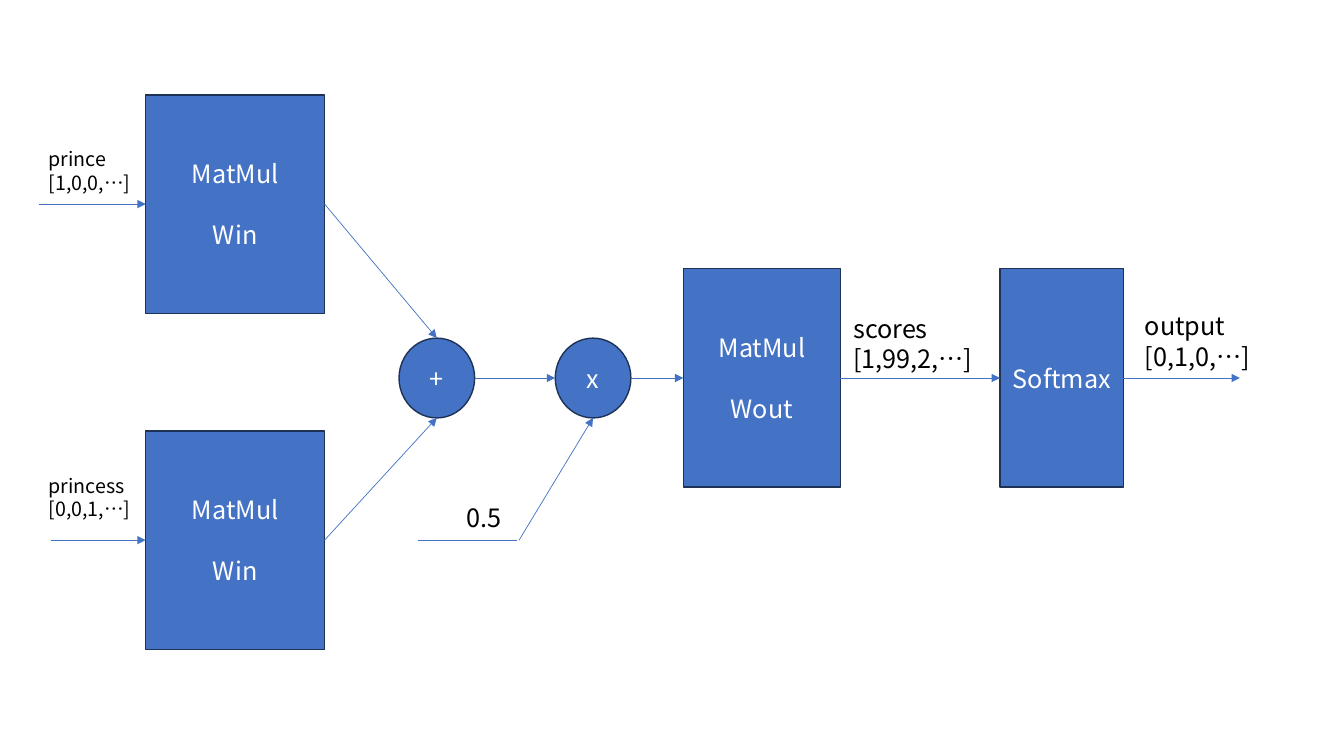
from dataclasses import dataclass
from typing import NamedTuple

from lxml import etree
from pptx import Presentation
from pptx.dml.color import RGBColor
from pptx.enum.shapes import MSO_CONNECTOR, MSO_SHAPE
from pptx.enum.text import MSO_ANCHOR, MSO_AUTO_SIZE, PP_ALIGN
from pptx.oxml.ns import qn
from pptx.util import Inches, Pt

RECTANGLE, ELLIPSE = MSO_SHAPE.RECTANGLE, MSO_SHAPE.OVAL
STRAIGHT = MSO_CONNECTOR.STRAIGHT
MIDDLE, CENTER, LEFT_ALIGN = MSO_ANCHOR.MIDDLE, PP_ALIGN.CENTER, PP_ALIGN.LEFT
GROW = MSO_AUTO_SIZE.SHAPE_TO_FIT_TEXT
TOP, LEFT, BOTTOM, RIGHT = range(4)

SLIDE_WIDTH, SLIDE_HEIGHT = Inches(13.33), Inches(7.5)
COLUMN, ROW = SLIDE_WIDTH / 160, SLIDE_HEIGHT / 90
FONT = "Noto Sans CJK JP"
BLUE, NAVY, WHITE, BLACK = "4472C4", "1E3256", "FFFFFF", "000000"

PRINCE_ROW, MAIN_ROW, PRINCESS_ROW = 24.3, 45, 64.3
BOX_ROWS = 26
CIRCLE_COLUMNS, CIRCLE_ROWS = 9, 9.5


class Point(NamedTuple):
    column: float
    row: float


@dataclass(frozen=True)
class Node:
    """One operation, placed by its centre."""
    lines: tuple[str, ...]
    column: float
    row: float
    columns: float
    rows: float = BOX_ROWS
    outline: int = RECTANGLE

    def side(self, side: int) -> Point:
        across = {LEFT: -0.5, RIGHT: 0.5}.get(side, 0)
        down = {TOP: -0.5, BOTTOM: 0.5}.get(side, 0)
        return Point(self.column + across * self.columns, self.row + down * self.rows)


class Port(NamedTuple):
    node: Node
    side: int


@dataclass(frozen=True)
class Flow:
    start: Point | Port
    end: Point | Port
    arrow: bool = True


@dataclass(frozen=True)
class Label:
    lines: tuple[str, ...]
    column: float
    row: float
    columns: float
    rows: float
    size: int = 18
    wrap: bool = False


def circle(sign: str, column: float) -> Node:
    return Node((sign,), column, MAIN_ROW, CIRCLE_COLUMNS, CIRCLE_ROWS, ELLIPSE)


PRINCE_IN = Node(("MatMul", "Win"), 28, PRINCE_ROW, 21.3)
PRINCESS_IN = Node(("MatMul", "Win"), 28, PRINCESS_ROW, 21.3)
PLUS, TIMES = circle("+", 52), circle("x", 70.6)
MATMUL_OUT = Node(("MatMul", "Wout"), 90.7, MAIN_ROW, 18.7)
SOFTMAX = Node(("Softmax",), 126.4, MAIN_ROW, 14.7)
NODES = (PRINCE_IN, PRINCESS_IN, PLUS, TIMES, MATMUL_OUT, SOFTMAX)

FLOWS = (
    Flow(Port(PRINCE_IN, RIGHT), Port(PLUS, TOP)),
    Flow(Port(PRINCESS_IN, RIGHT), Port(PLUS, BOTTOM)),
    Flow(Point(49.8, PRINCESS_ROW), Point(61.6, PRINCESS_ROW), arrow=False),
    Flow(Point(61.8, PRINCESS_ROW), Port(TIMES, BOTTOM)),
    Flow(Port(PLUS, RIGHT), Port(TIMES, LEFT)),
    Flow(Port(TIMES, RIGHT), Port(MATMUL_OUT, LEFT)),
    Flow(Port(MATMUL_OUT, RIGHT), Port(SOFTMAX, LEFT)),
    Flow(Port(SOFTMAX, RIGHT), Point(147.6, MAIN_ROW)),
    Flow(Point(4.6, PRINCE_ROW), Port(PRINCE_IN, LEFT)),
    Flow(Point(6.1, PRINCESS_ROW), Port(PRINCESS_IN, LEFT)),
)

LABELS = (
    Label(("prince", "[1,0,0,…]"), 4.6, 16.9, 12.4, 6.8, size=14),
    Label(("princess", "[0,0,1,…]"), 4.6, 55.8, 12.4, 6.8, size=14),
    Label(("0.5",), 54.4, 59.2, 6.6, 4.8),
    Label(("scores", "[1,99,2,…]"), 100.4, 36.7, 18.6, 8.5, wrap=True),
    Label(("output", "[0,1,0,…]"), 135.1, 36.4, 19, 8.5, wrap=True),
)


def color(value: str) -> RGBColor:
    return RGBColor.from_string(value)


def across(columns: float) -> int:
    return round(columns * COLUMN)


def down(rows: float) -> int:
    return round(rows * ROW)


def write_lines(frame, lines: tuple[str, ...], size: int, ink: str,
                align: int, gap: float = 0) -> None:
    for index, line in enumerate(lines):
        paragraph = frame.add_paragraph() if index else frame.paragraphs[0]
        paragraph.alignment = align
        paragraph.space_before = Pt(gap if index else 0)
        run = paragraph.add_run()
        run.text = line
        run.font.size = Pt(size)
        run.font.color.rgb = color(ink)
        run.font.name = FONT
        etree.SubElement(run.font._element, qn("a:ea"), typeface=FONT)


def draw_node(shapes, node: Node):
    left, top = node.side(LEFT).column, node.side(TOP).row
    shape = shapes.add_shape(node.outline, across(left), down(top),
                             across(node.columns), down(node.rows))
    shape.shadow.inherit = False
    shape.fill.solid()
    shape.fill.fore_color.rgb = color(BLUE)
    shape.line.color.rgb = color(NAVY)
    shape.line.width = Pt(1)
    shape.text_frame.vertical_anchor = MIDDLE
    write_lines(shape.text_frame, node.lines, 18, WHITE, CENTER, gap=22)
    return shape


def draw_flow(shapes, flow: Flow, drawn: dict) -> None:
    """Draw a line and join its ends to the boxes it meets."""
    start, end = (stop.node.side(stop.side) if isinstance(stop, Port) else stop
                  for stop in (flow.start, flow.end))
    connector = shapes.add_connector(STRAIGHT, across(start.column), down(start.row),
                                     across(end.column), down(end.row))
    for stop, join in ((flow.start, connector.begin_connect),
                       (flow.end, connector.end_connect)):
        if isinstance(stop, Port) and stop.node.outline == RECTANGLE:
            join(drawn[stop.node], stop.side)
    connector.line.color.rgb = color(BLUE)
    connector.line.width = Pt(0.5)
    if flow.arrow:
        etree.SubElement(connector.line._get_or_add_ln(), qn("a:tailEnd"), type="triangle")
    etree.SubElement(connector._element.spPr, qn("a:effectLst"))


def draw_label(shapes, label: Label) -> None:
    box = shapes.add_textbox(across(label.column), down(label.row),
                             across(label.columns), down(label.rows))
    box.text_frame.word_wrap = label.wrap
    box.text_frame.auto_size = GROW
    write_lines(box.text_frame, label.lines, label.size, BLACK, LEFT_ALIGN)


def main() -> None:
    deck = Presentation()
    deck.slide_width, deck.slide_height = SLIDE_WIDTH, SLIDE_HEIGHT
    shapes = deck.slides.add_slide(deck.slide_layouts[6]).shapes
    drawn = {node: draw_node(shapes, node) for node in NODES}
    for flow in FLOWS:
        draw_flow(shapes, flow, drawn)
    for label in LABELS:
        draw_label(shapes, label)
    deck.save("out.pptx")


if __name__ == "__main__":
    main()
